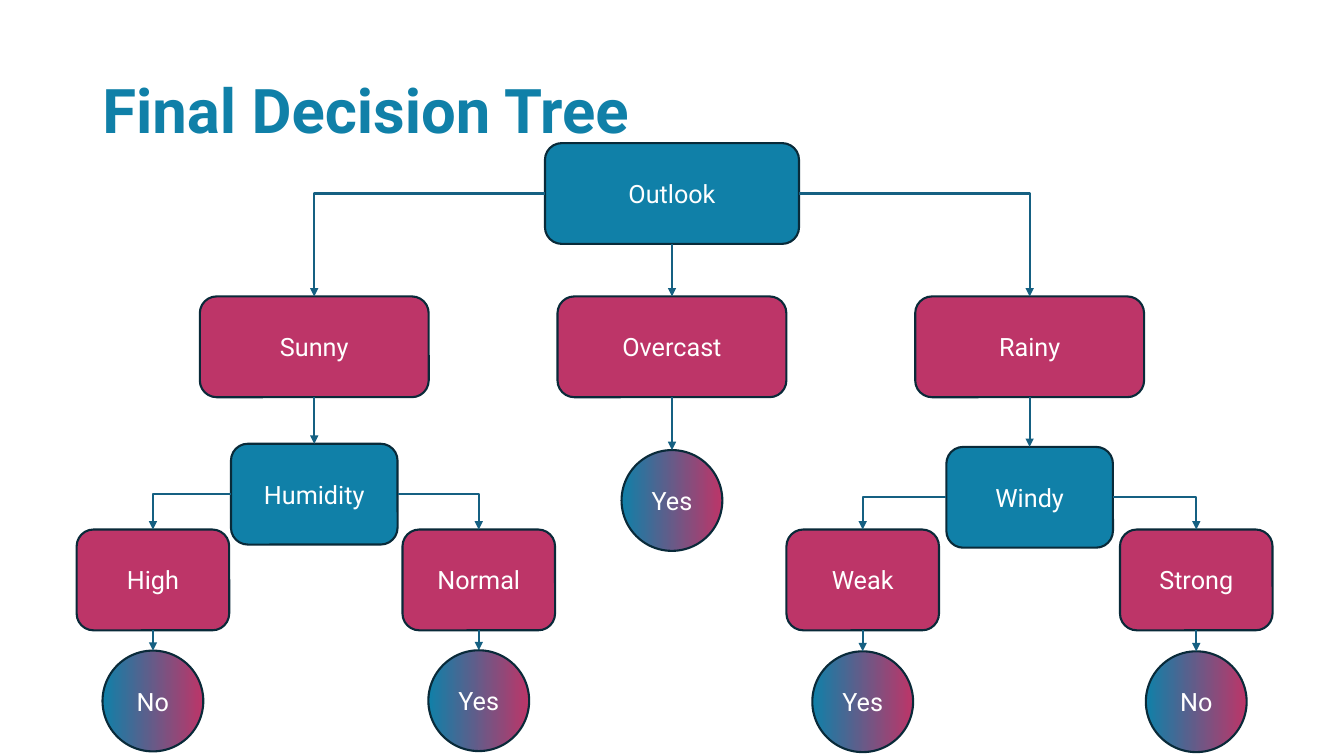
from collections import namedtuple

from lxml.etree import SubElement
from pptx import Presentation
from pptx.dml.color import RGBColor
from pptx.enum.shapes import MSO_CONNECTOR as Connector, MSO_SHAPE as Preset
from pptx.enum.text import MSO_ANCHOR as Anchor, PP_ALIGN as Align
from pptx.oxml.ns import qn
from pptx.util import Pt

COLORS = {
    "teal": "1080A8",
    "rose": "BD3568",
    "outline": "092A39",
    "arrow": "156082",
    "label": "FFFFFF",
}
FONT = "Roboto"
NODE_HEIGHT = 72
LEFT, BOTTOM, RIGHT, TOP = 1, 2, 3, 0

Box = namedtuple("Box", "left top width height")
Style = namedtuple("Style", "preset width fill")
Node = namedtuple("Node", "label style offset top children", defaults=[()])

ROOT = Style(Preset.ROUNDED_RECTANGLE, 181.5, "teal")
TEST = Style(Preset.ROUNDED_RECTANGLE, 119, "teal")
OUTCOME = Style(Preset.ROUNDED_RECTANGLE, 163.5, "rose")
VALUE = Style(Preset.ROUNDED_RECTANGLE, 109, "rose")
ANSWER = Style(Preset.OVAL, 72, None)

TREE = Node("Outlook", ROOT, 0, 0, [
    Node("Sunny", OUTCOME, -255.5, 109.5, [
        Node("Humidity", TEST, 0, 214.75, [
            Node("High", VALUE, -115.25, 276, [Node("No", ANSWER, 0, 362.5)]),
            Node("Normal", VALUE, 117.5, 276, [Node("Yes", ANSWER, 0, 362.25)]),
        ]),
    ]),
    Node("Overcast", OUTCOME, 0, 109.5, [Node("Yes", ANSWER, 0, 319.25 - 100)]),
    Node("Rainy", OUTCOME, 255.5, 109.5, [
        Node("Windy", TEST, 0, 217, [
            Node("Weak", VALUE, -119.25, 276, [Node("Yes", ANSWER, 0, 363)]),
            Node("Strong", VALUE, 119, 276, [Node("No", ANSWER, 0, 363)]),
        ]),
    ]),
])


def color(name):
    """Return the named colour."""
    return RGBColor.from_string(COLORS[name])


def fill_gradient(fill):
    """Fade a fill from teal on the left to rose on the right."""
    fill.gradient()
    fill.gradient_angle = 0
    for stop, name in zip(fill.gradient_stops, ("teal", "rose")):
        stop.color.rgb = color(name)


def add_run(paragraph, text, size):
    """Add a run and return its font."""
    run = paragraph.add_run()
    run.text = text
    run.font.name = FONT
    run.font.size = Pt(size)
    return run.font


def draw_title(slide, box, text):
    """Draw the slide title, centred vertically in the box."""
    frame = slide.shapes.add_textbox(*map(Pt, box)).text_frame
    frame.word_wrap = True
    frame.vertical_anchor = Anchor.MIDDLE
    paragraph = frame.paragraphs[0]
    paragraph.line_spacing = 0.9
    font = add_run(paragraph, text, 44)
    font.bold = True
    fill_gradient(font.fill)


def draw_node(slide, node, center, top):
    """Draw one labelled node around a centre line and return its shape."""
    style = node.style
    shape = slide.shapes.add_shape(
        style.preset, Pt(center - style.width / 2), Pt(top), Pt(style.width), Pt(NODE_HEIGHT))
    shape.shadow.inherit = False
    if style.fill:
        shape.fill.solid()
        shape.fill.fore_color.rgb = color(style.fill)
    else:
        fill_gradient(shape.fill)
    shape.line.color.rgb = color("outline")
    shape.line.width = Pt(1.5)
    shape.text_frame.vertical_anchor = Anchor.MIDDLE
    paragraph = shape.text_frame.paragraphs[0]
    paragraph.alignment = Align.CENTER
    add_run(paragraph, node.label, 18).color.rgb = color("label")
    return shape


def draw_arrow(slide, parent, child, offset):
    """Join a parent to the top of its child, bending once when it is off-centre."""
    kind = Connector.ELBOW if offset else Connector.STRAIGHT
    connector = slide.shapes.add_connector(kind, 0, 0, 0, 0)
    side = BOTTOM if offset == 0 else LEFT if offset < 0 else RIGHT
    connector.begin_connect(parent, side)
    connector.end_connect(child, TOP)
    connector.line.color.rgb = color("arrow")
    connector.line.width = Pt(1.5)
    properties = connector.element.spPr
    if offset:
        properties.find(qn("a:prstGeom")).set("prst", "bentConnector2")
    SubElement(properties.find(qn("a:ln")), qn("a:tailEnd"), type="triangle")
    SubElement(properties, qn("a:effectLst"))


def draw_tree(slide, box, node, parent=None, parent_center=None):
    """Draw a node and its descendants inside the box."""
    if parent_center is None:
        parent_center = box.left + box.width / 2
    center = parent_center + node.offset
    shape = draw_node(slide, node, center, box.top + node.top)
    if parent is not None:
        draw_arrow(slide, parent, shape, node.offset)
    for child in node.children:
        draw_tree(slide, box, child, shape, center)


def main():
    """Build the decision tree slide."""
    presentation = Presentation()
    presentation.slide_width, presentation.slide_height = Pt(960), Pt(540)
    slide = presentation.slides.add_slide(presentation.slide_layouts[6])
    draw_title(slide, Box(66, 28.8, 828, 104.4), "Final Decision Tree")
    draw_tree(slide, Box(0, 102.25, 960, 435), TREE)
    presentation.save("out.pptx")


if __name__ == "__main__":
    main()
